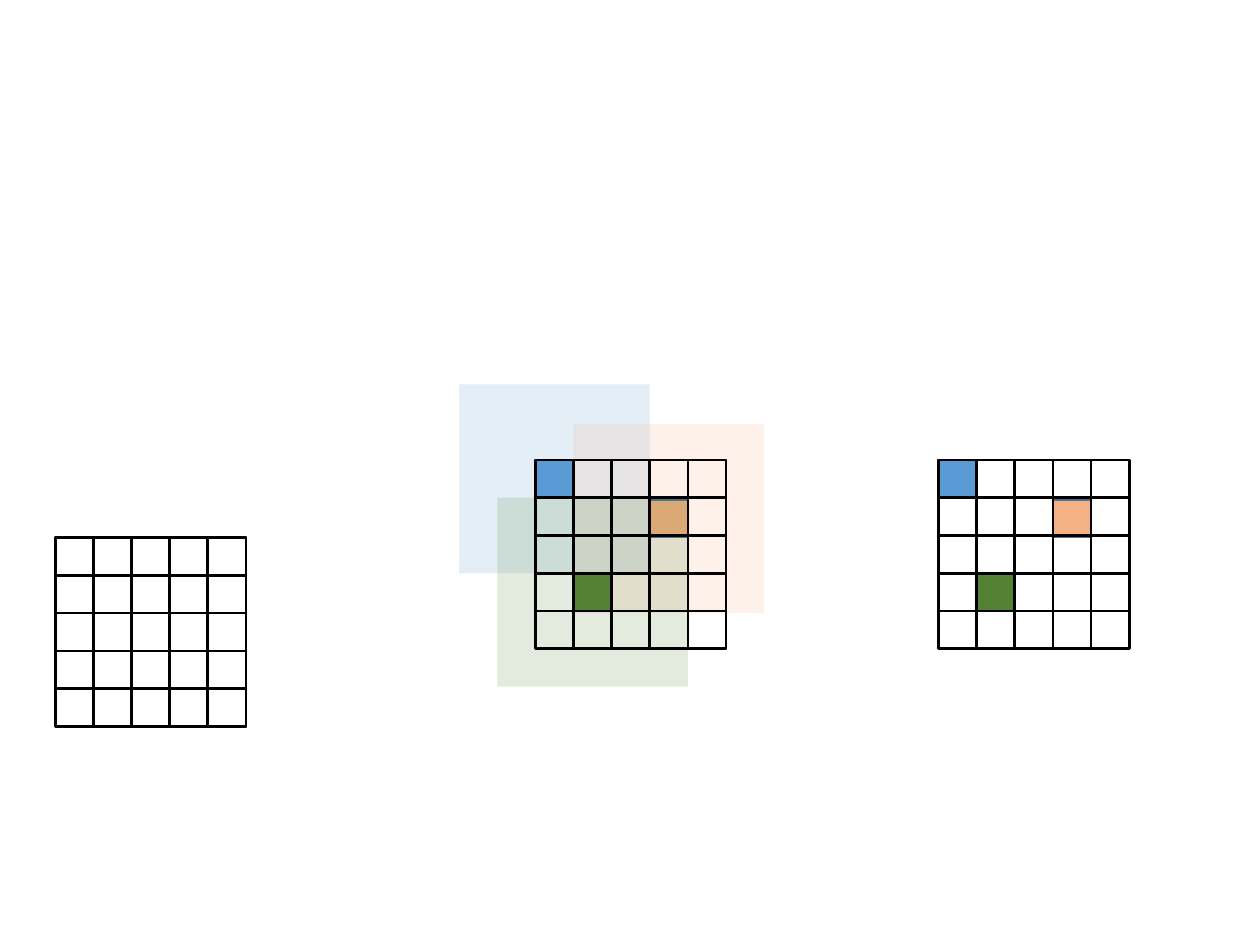
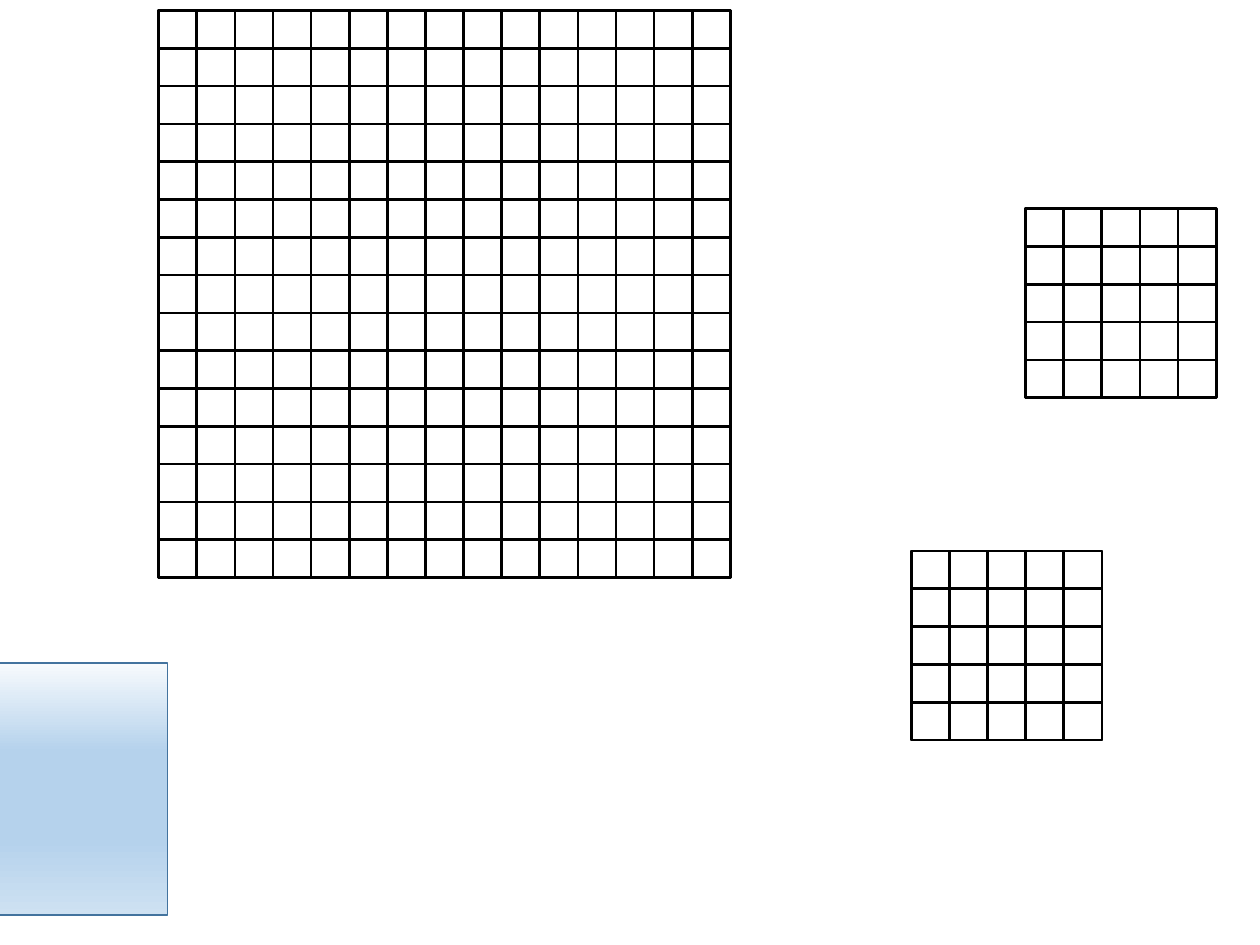
import lxml.etree
import pptx
import pptx.dml.color
import pptx.enum.shapes
import pptx.oxml.ns
import pptx.util

Pt = pptx.util.Pt
RGBColor = pptx.dml.color.RGBColor
qn = pptx.oxml.ns.qn
RECTANGLE = pptx.enum.shapes.MSO_SHAPE.RECTANGLE

BLACK = RGBColor(0x00, 0x00, 0x00)
BLUE = RGBColor(0x5B, 0x9B, 0xD5)
ORANGE = RGBColor(0xF4, 0xB1, 0x83)
GREEN = RGBColor(0x54, 0x82, 0x35)
EDGE_BLUE = RGBColor(0x43, 0x73, 0x9E)
GRADIENT = [
    (0, RGBColor(0xF7, 0xFA, 0xFD)),
    (35, RGBColor(0xB5, 0xD2, 0xEC)),
    (70, RGBColor(0xB5, 0xD2, 0xEC)),
    (100, RGBColor(0xCE, 0xE1, 0xF2)),
]

CELL_WIDTH = 21.78
CELL_HEIGHT = 21.6
KERNEL_SIZE = 5
IMAGE_SIZE = 15


def add_rectangle(shapes, left, top, width, height, fill=None, line=None, line_width=1, opacity=100):
    """Add a rectangle measured in points; no fill or line colour means none is drawn."""
    shape = shapes.add_shape(RECTANGLE, Pt(left), Pt(top), Pt(width), Pt(height))
    shape.shadow.inherit = False
    if fill is None:
        shape.fill.background()
    else:
        shape.fill.solid()
        shape.fill.fore_color.rgb = fill
        if opacity < 100:
            color = shape.element.spPr.find(f"{qn('a:solidFill')}/{qn('a:srgbClr')}")
            lxml.etree.SubElement(color, qn("a:alpha"), val=str(opacity * 1000))
    if line is None:
        shape.line.fill.background()
    else:
        shape.line.color.rgb = line
        shape.line.width = Pt(line_width)
    return shape


def add_grid(slide, left, top, size):
    """Draw a square grid as column strips overlaid by a group of row strips."""
    width, height = size * CELL_WIDTH, size * CELL_HEIGHT
    for column in range(size):
        add_rectangle(slide.shapes, left + column * CELL_WIDTH, top, CELL_WIDTH, height,
                      line=BLACK, line_width=1.5)
    rows = slide.shapes.add_group_shape()
    # Each row is an upright strip turned on its side about its centre.
    strip_left = left + (width - CELL_HEIGHT) / 2
    strip_top = top + (CELL_HEIGHT - width) / 2
    for row in range(size):
        strip = add_rectangle(rows.shapes, strip_left, strip_top + row * CELL_HEIGHT,
                              CELL_HEIGHT, width, line=BLACK, line_width=1.5)
        strip.rotation = 90


presentation = pptx.Presentation()
presentation.slide_width = Pt(720)
presentation.slide_height = Pt(540)
blank_layout = presentation.slide_layouts[6]

# Slide 1: a kernel, its footprint around three cells, and the cells alone
slide = presentation.slides.add_slide(blank_layout)
add_grid(slide, 31.7, 307.2, KERNEL_SIZE)

# colour, column, row, downward nudge, footprint opacity
focus_cells = [
    (BLUE, 0, 0, 0, 17),
    (ORANGE, 3, 1, 1.2, 17),
    (GREEN, 1, 3, 0, 16),
]
grid_top = 262.8
reach = KERNEL_SIZE // 2
for grid_left, has_footprints in [(306, True), (536.4, False)]:
    for color, column, row, nudge, opacity in focus_cells:
        left = grid_left + column * CELL_WIDTH
        top = grid_top + row * CELL_HEIGHT + nudge
        if has_footprints:
            add_rectangle(slide.shapes, left - reach * CELL_WIDTH, top - reach * CELL_HEIGHT,
                          KERNEL_SIZE * CELL_WIDTH, KERNEL_SIZE * CELL_HEIGHT,
                          fill=color, opacity=opacity)
        add_rectangle(slide.shapes, left, top, CELL_WIDTH, CELL_HEIGHT, fill=color, line=EDGE_BLUE)
    add_grid(slide, grid_left, grid_top, KERNEL_SIZE)

# Slide 2: a gradient square, the image grid and two kernels
slide = presentation.slides.add_slide(blank_layout)
square = add_rectangle(slide.shapes, -48.2, 378.9, 144, 144, line=EDGE_BLUE)
square.fill.gradient()
square.fill.gradient_angle = 270
stops = square.element.spPr.find(f"{qn('a:gradFill')}/{qn('a:gsLst')}")
for stop in list(stops):
    stops.remove(stop)
for position, color in GRADIENT:
    stop = lxml.etree.SubElement(stops, qn("a:gs"), pos=str(position * 1000))
    lxml.etree.SubElement(stop, qn("a:srgbClr"), val=str(color))

for left, top, size in [
    (90.7, 6, IMAGE_SIZE),
    (586.1, 119.3, KERNEL_SIZE),
    (520.8, 314.9, KERNEL_SIZE),
]:
    add_grid(slide, left, top, size)

presentation.save("out.pptx")
